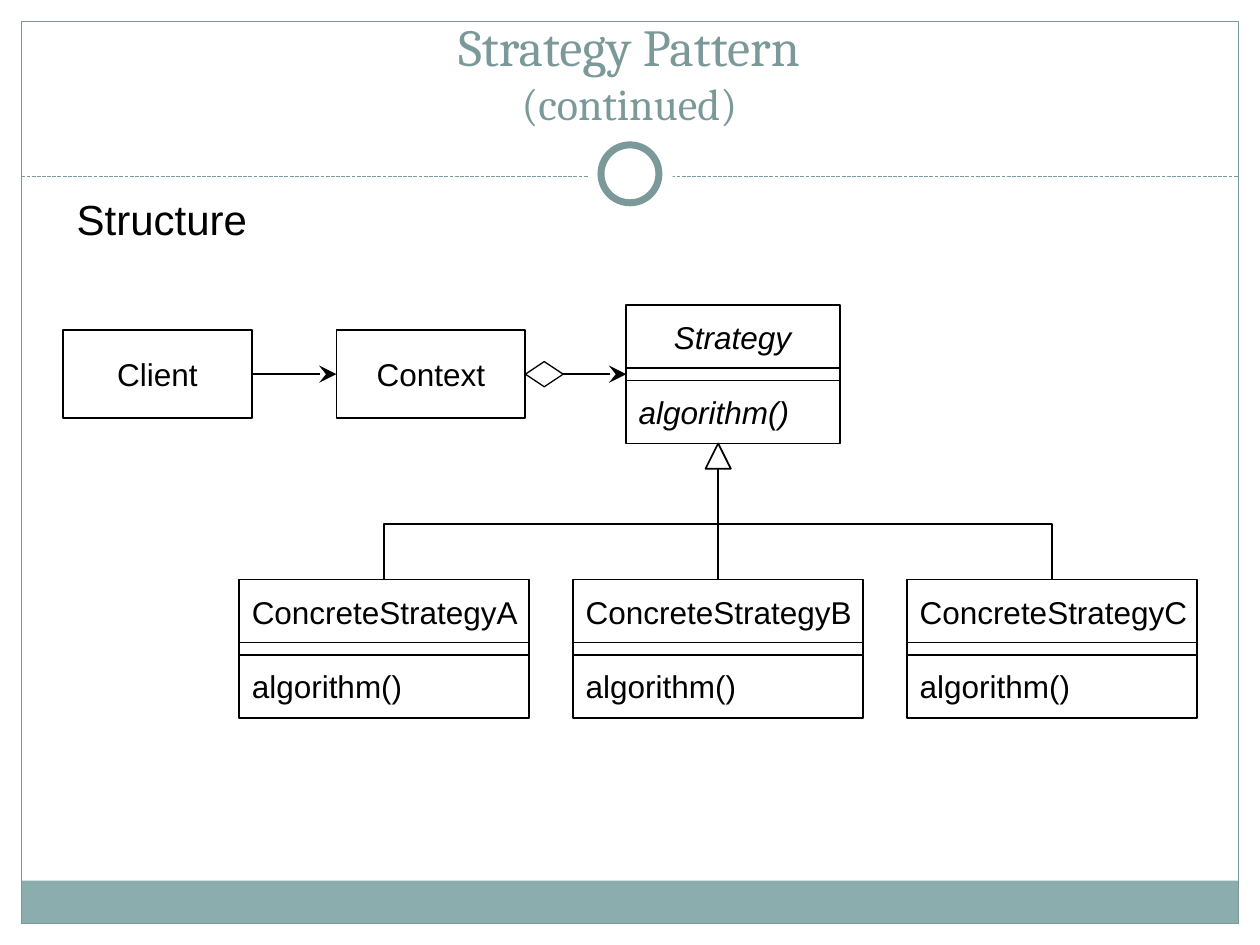
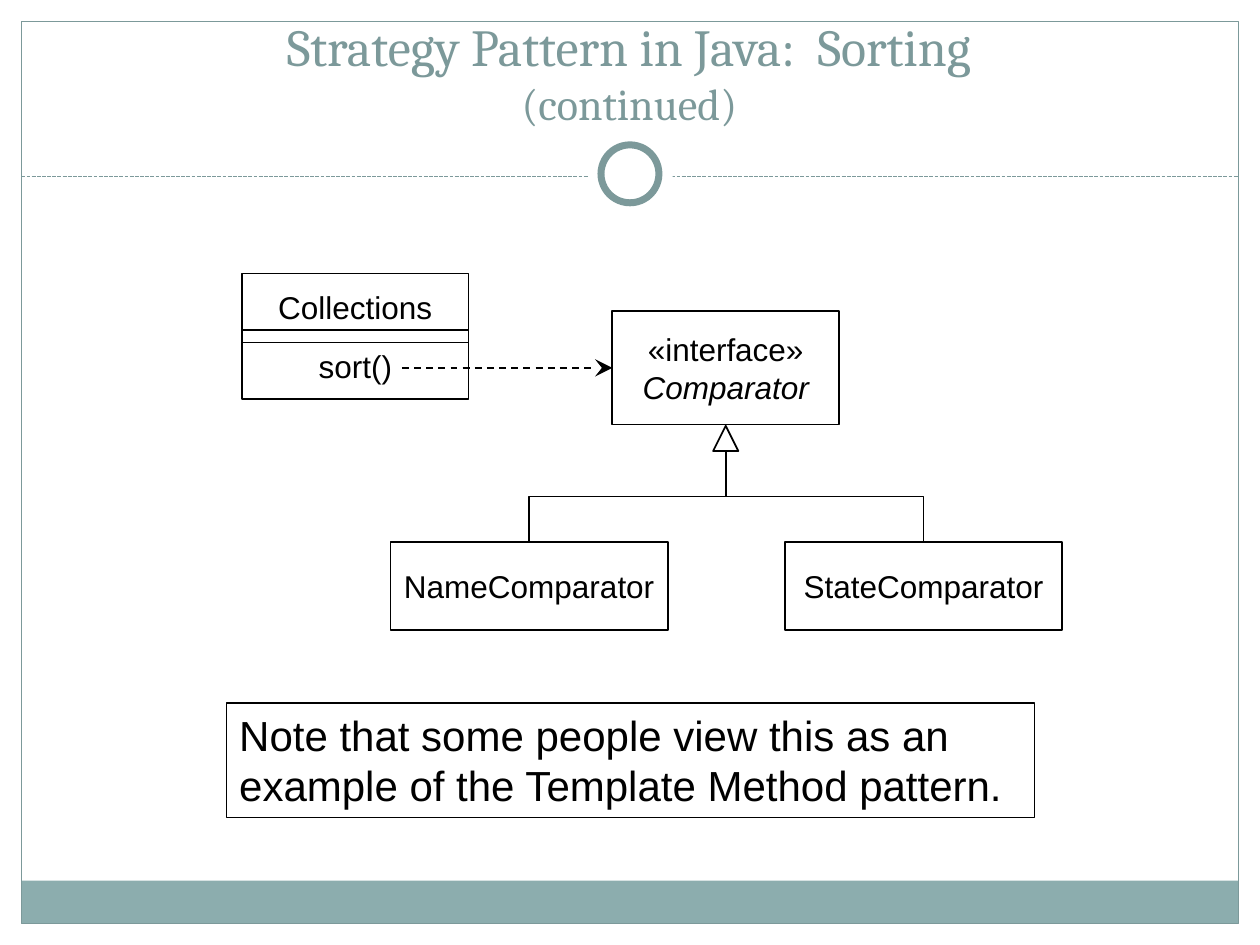
"""Build two slides of class diagrams for the Strategy pattern."""
from lxml.etree import SubElement
from pptx import Presentation
from pptx.dml.color import RGBColor
from pptx.enum.dml import MSO_LINE
from pptx.enum.shapes import MSO_CONNECTOR, MSO_SHAPE
from pptx.enum.text import MSO_ANCHOR, PP_ALIGN
from pptx.oxml.ns import qn
from pptx.util import Inches, Pt

ACCENT = "7C999A"
BAND = "8CADAE"
BLACK = "000000"
WHITE = "FFFFFF"
LEFT, CENTER = PP_ALIGN.LEFT, PP_ALIGN.CENTER


def add_shape(slide, kind, left, top, width, height, text="", fill=None, line=BLACK, weight=1,
              size=18, font="Arial", color=BLACK, align=CENTER, anchor=MSO_ANCHOR.MIDDLE,
              italic=False, gap=0, wrap=False):
    """Add a preset shape, or a text box when kind is None, with one paragraph per text line."""
    place = [Inches(value) for value in (left, top, width, height)]
    if kind is None:
        shape = slide.shapes.add_textbox(*place)
    else:
        shape = slide.shapes.add_shape(kind, *place)
        shape.shadow.inherit = False
        if fill:
            shape.fill.solid()
            shape.fill.fore_color.rgb = RGBColor.from_string(fill)
        else:
            shape.fill.background()
        if line:
            shape.line.color.rgb = RGBColor.from_string(line)
            shape.line.width = Pt(weight)
        else:
            shape.line.fill.background()
    if text:
        frame = shape.text_frame
        frame.word_wrap = wrap
        frame.vertical_anchor = anchor
        frame.text = text
        for index, paragraph in enumerate(frame.paragraphs):
            paragraph.alignment = align
            paragraph.space_before = Pt(gap if index else 0)
            run_font = paragraph.runs[0].font
            run_font.size = Pt(size)
            run_font.name = font
            run_font.italic = italic
            run_font.color.rgb = RGBColor.from_string(color)
    return shape


def add_line(slide, start, end, color=BLACK, weight=1, dash=None, arrow=False, elbow=False):
    """Add a straight line, or an elbow that leaves its start downwards."""
    (x1, y1), (x2, y2) = start, end
    if elbow:
        middle_x, middle_y = (x1 + x2) / 2, (y1 + y2) / 2
        half_width, half_height = (y2 - y1) / 2, abs(x2 - x1) / 2
        side = 1 if x2 < x1 else -1
        angle = 90 if x2 < x1 else 270
        x1, x2 = middle_x - side * half_width, middle_x + side * half_width
        y1, y2 = middle_y - half_height, middle_y + half_height
    kind = MSO_CONNECTOR.ELBOW if elbow else MSO_CONNECTOR.STRAIGHT
    connector = slide.shapes.add_connector(kind, Inches(x1), Inches(y1), Inches(x2), Inches(y2))
    connector.line.color.rgb = RGBColor.from_string(color)
    connector.line.width = Pt(weight)
    if dash:
        connector.line.dash_style = dash
    properties = connector._element.spPr
    if elbow:
        properties.find(qn("a:xfrm")).set("rot", str(angle * 60000))
    if arrow:
        SubElement(properties.find(qn("a:ln")), qn("a:tailEnd"), type="stealth", w="lg", len="lg")
    SubElement(properties, qn("a:effectLst"))


presentation = Presentation()
presentation.slide_width = Inches(10)
presentation.slide_height = Inches(7.5)

slides = []
for title in ("Strategy Pattern", "Strategy Pattern in Java:  Sorting"):
    slide = presentation.slides.add_slide(presentation.slide_layouts[6])
    add_shape(slide, MSO_SHAPE.RECTANGLE, 0.17, 6.99, 9.66, 0.34, fill=BAND, line=None)
    add_shape(slide, MSO_SHAPE.RECTANGLE, 0.17, 0.17, 9.66, 7.16, line=ACCENT, weight=0.75)
    add_line(slide, (0.17, 1.4), (9.83, 1.4), color=ACCENT, weight=0.75,
             dash=MSO_LINE.SQUARE_DOT)
    add_shape(slide, MSO_SHAPE.OVAL, 4.67, 1.05, 0.67, 0.67, fill=WHITE, line=None)
    add_shape(slide, MSO_SHAPE.OVAL, 4.77, 1.15, 0.46, 0.46, fill=WHITE, line=ACCENT, weight=4)
    heading = add_shape(slide, None, 0.33, 0.25, 9.33, 0.83, title + "\n(continued)", size=29.7,
                        font="Cambria", color=ACCENT, anchor=MSO_ANCHOR.BOTTOM, wrap=True)
    heading.text_frame.paragraphs[1].runs[0].font.size = Pt(25.2)
    slides.append(slide)

structure, sorting = slides

add_shape(structure, None, 0.5, 1.49, 1.57, 0.5, "Structure", size=24, anchor=MSO_ANCHOR.TOP)
for name, left in (("Client", 0.5), ("Context", 2.67)):
    add_shape(structure, MSO_SHAPE.RECTANGLE, left, 2.62, 1.5, 0.7, name)

classes = [("Strategy", 4.97, 2.42, 1.7)]
classes += [("ConcreteStrategy" + letter, 1.9 + 2.65 * column, 4.6, 2.3)
            for column, letter in enumerate("ABC")]
for name, left, top, width in classes:
    abstract = name == "Strategy"
    box = add_shape(structure, MSO_SHAPE.RECTANGLE, left, top, width, 1.1,
                    name + "\nalgorithm()", align=LEFT, italic=abstract, gap=21)
    if abstract:
        box.text_frame.paragraphs[0]._p.get_or_add_pPr().set("marL", str(Inches(0.28)))
    for offset in (0.5, 0.6):
        add_line(structure, (left, top + offset), (left + width, top + offset))

add_line(structure, (2, 2.97), (2.67, 2.97), arrow=True)
add_shape(structure, MSO_SHAPE.DIAMOND, 4.17, 2.87, 0.3, 0.2, weight=0.75)
add_line(structure, (4.47, 2.97), (4.97, 2.97), arrow=True)
add_shape(structure, MSO_SHAPE.ISOSCELES_TRIANGLE, 5.6, 3.52, 0.2, 0.2)
add_line(structure, (5.7, 3.72), (5.7, 4.6))
for child in (3.05, 8.35):
    add_line(structure, (5.7, 3.72), (child, 4.6), elbow=True)

interface = add_shape(sorting, MSO_SHAPE.RECTANGLE, 4.86, 2.47, 1.8, 0.9,
                      "«interface»\nComparator")
interface.text_frame.paragraphs[1].runs[0].font.italic = True
add_shape(sorting, MSO_SHAPE.RECTANGLE, 1.92, 2.17, 1.8, 1, "Collections\nsort()", gap=12)
for height in (2.62, 2.72):
    add_line(sorting, (1.92, height), (3.72, height), weight=0.75)
add_line(sorting, (3.19, 2.92), (4.86, 2.92), dash=MSO_LINE.DASH, arrow=True)
add_shape(sorting, MSO_SHAPE.ISOSCELES_TRIANGLE, 5.66, 3.38, 0.2, 0.2)
for name, left in (("NameComparator", 3.1), ("StateComparator", 6.23)):
    add_shape(sorting, MSO_SHAPE.RECTANGLE, left, 4.3, 2.2, 0.7, name)
    add_line(sorting, (5.76, 3.58), (left + 1.1, 4.3), elbow=True)
add_shape(sorting, MSO_SHAPE.RECTANGLE, 1.8, 5.58, 6.41, 0.91,
          "Note that some people view this as an\nexample of the Template Method pattern.",
          weight=0.75, size=24, align=LEFT, anchor=MSO_ANCHOR.TOP)

presentation.save("out.pptx")
